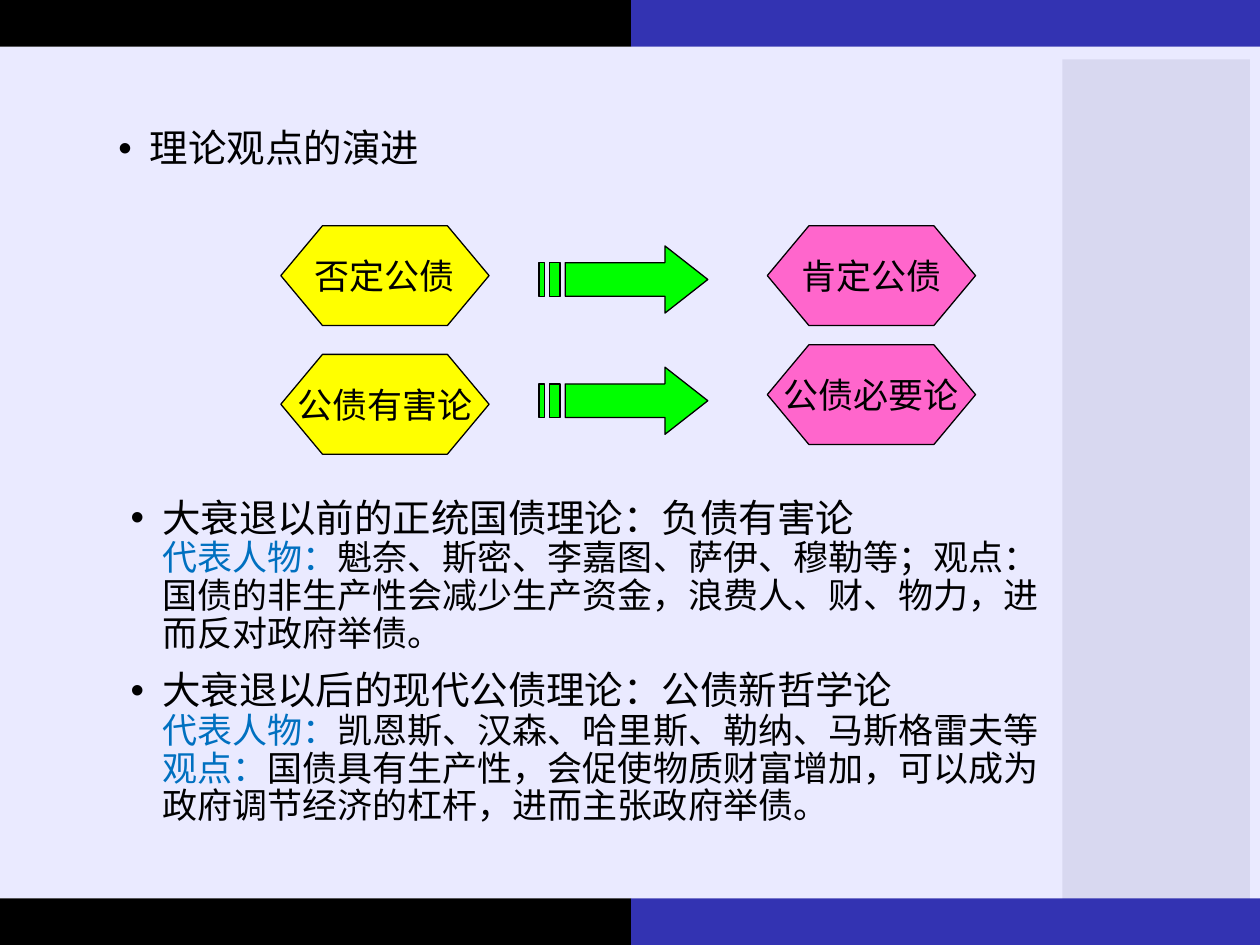
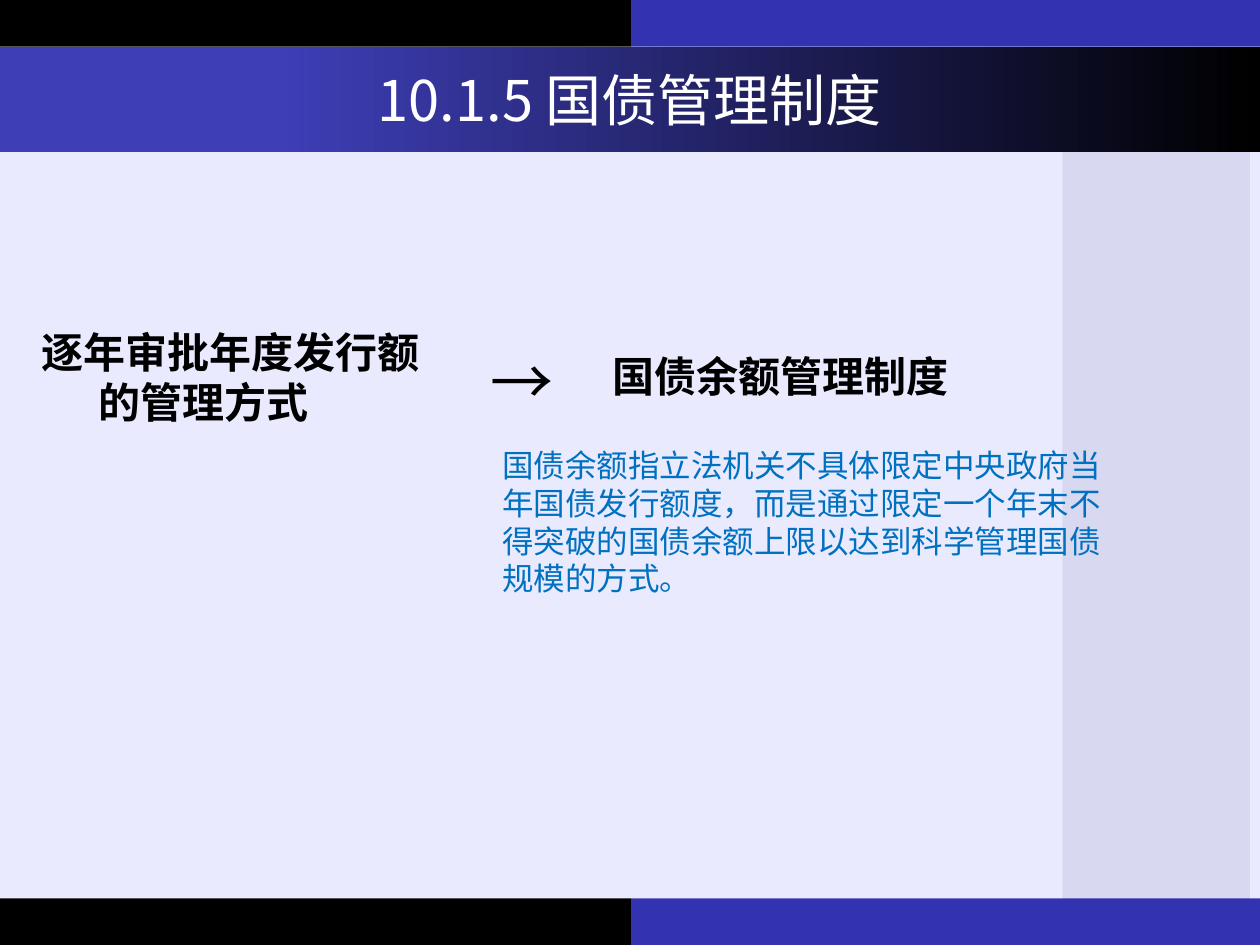
from copy import deepcopy
from lxml import etree
from pptx import Presentation
from pptx import util as u
from pptx.dml import color as colors
from pptx.enum import shapes, text
from pptx.oxml import ns

BLACK, WHITE, INDIGO, BLUE = "000000", "FFFFFF", "3333B2", "0070C0"
PALE, PANEL, TITLE_START = "EAEAFF", "D8D8F0", "3E3EB7"
YELLOW, PINK, GREEN = "FFFF00", "FF66CC", "00FF00"
SANS, SANS_JP, SERIF = "Noto Sans CJK SC", "Noto Sans CJK JP", "Times New Roman"
WIDTH, HEIGHT, BAND_HEIGHT, BAND_SPLIT = 720, 540, 26.64, 360.7


def hex_color(value):
    return colors.RGBColor.from_string(value)


def place(shape, box):
    shape.left, shape.top, shape.width, shape.height = (u.Pt(length) for length in box)


def style_shape(shape, fill, line=None):
    shape.shadow.inherit = False
    shape.fill.solid()
    shape.fill.fore_color.rgb = hex_color(fill)
    if line:
        shape.line.color.rgb = hex_color(line)
        shape.line.width = u.Pt(0.75)
    else:
        shape.line.fill.background()


def style_run(run, size, color=BLACK, font=SANS, bold=False):
    run.font.size = u.Pt(size)
    run.font.bold = bold
    run.font.color.rgb = hex_color(color)
    run.font.name = font
    east_asian = etree.SubElement(run.font._element, ns.qn("a:ea"))
    east_asian.set("typeface", SANS if font == SERIF else font)


def set_indent(paragraph, left, first=0):
    properties = paragraph._p.get_or_add_pPr()
    properties.set("marL", str(u.Pt(left)))
    properties.set("indent", str(u.Pt(first)))


def add_background(slide):
    group = slide.shapes.add_group_shape()
    lower = HEIGHT - BAND_HEIGHT
    right_width = WIDTH - BAND_SPLIT
    parts = [
        (0, BAND_HEIGHT, WIDTH, lower - BAND_HEIGHT, PALE),
        (0, 0, BAND_SPLIT, BAND_HEIGHT, BLACK),
        (BAND_SPLIT, 0, right_width, BAND_HEIGHT, INDIGO),
        (607, 34, 107.3, 485, PANEL),
        (0, lower, BAND_SPLIT, BAND_HEIGHT, BLACK),
        (BAND_SPLIT, lower, right_width, BAND_HEIGHT, INDIGO),
    ]
    for *box, fill in parts:
        rectangle = group.shapes.add_shape(
            shapes.MSO_SHAPE.RECTANGLE, *(u.Pt(length) for length in box))
        style_shape(rectangle, fill)
    slide.shapes.element.insert(2, group.element)


def fill_list(placeholder, box, items):
    place(placeholder, box)
    frame = placeholder.text_frame
    frame.auto_size = text.MSO_AUTO_SIZE.NONE
    frame.vertical_anchor = text.MSO_ANCHOR.TOP
    for index, (heading, details) in enumerate(items):
        paragraph = frame.add_paragraph() if index else frame.paragraphs[0]
        set_indent(paragraph, 18, -18)
        paragraph.line_spacing = 0.9
        paragraph.space_before = u.Pt(10 if index else 0)
        paragraph.text = heading
        style_run(paragraph.runs[0], 22)
        if details:
            paragraph.add_line_break()
            line_break = paragraph._p.find(ns.qn("a:br"))
            line_break.append(deepcopy(paragraph.runs[0].font._element))
        for words, color in details:
            run = paragraph.add_run()
            run.text = words
            style_run(run, 20, color)


def add_hexagon(group, left, top, words, fill):
    hexagon = group.shapes.add_shape(
        shapes.MSO_SHAPE.FLOWCHART_PREPARATION,
        u.Pt(left), u.Pt(top), u.Pt(119), u.Pt(57))
    style_shape(hexagon, fill, BLACK)
    frame = hexagon.text_frame
    frame.text = words
    frame.word_wrap = False
    frame.vertical_anchor = text.MSO_ANCHOR.MIDDLE
    paragraph = frame.paragraphs[0]
    paragraph.alignment = text.PP_ALIGN.CENTER
    style_run(paragraph.runs[0], 20, font=SERIF)


def add_striped_arrow(group, left, top):
    width, height, neck = 96.5, 38.4, 72
    shaft_top, shaft_bottom = height / 4, height * 3 / 4
    head = [(neck, 0), (neck, shaft_top), (15, shaft_top), (15, shaft_bottom),
            (neck, shaft_bottom), (neck, height), (width, height / 2)]
    stripes = [[(start, shaft_top), (start, shaft_bottom),
                (end, shaft_bottom), (end, shaft_top)] for start, end in [(6, 12), (0, 3)]]
    builder = None
    for outline in [head, *stripes]:
        points = [(u.Pt(left + x), u.Pt(top + y)) for x, y in outline]
        if builder is None:
            builder = group.shapes.build_freeform(*points[0])
        else:
            builder.move_to(*points[0])
        builder.add_line_segments(points[1:], close=True)
    style_shape(builder.convert_to_shape(), GREEN, BLACK)


def add_shift_diagram(slide, left, top):
    group = slide.shapes.add_group_shape()
    rows = [
        ("否定公债", 0, "肯定公债", 0, 11.5),
        ("公债有害论", 73.5, "公债必要论", 68, 80.8),
    ]
    for before, before_top, after, after_top, arrow_top in rows:
        add_hexagon(group, left, top + before_top, before, YELLOW)
        add_hexagon(group, left + 278, top + after_top, after, PINK)
        add_striped_arrow(group, left + 147.5, top + arrow_top)


def add_text(slide, box, lines, size, color=BLACK, bold=False):
    text_box = slide.shapes.add_textbox(*(u.Pt(length) for length in box))
    frame = text_box.text_frame
    frame.word_wrap = True
    frame.text = "\n".join(lines)
    for paragraph in frame.paragraphs:
        style_run(paragraph.runs[0], size, color, bold=bold)
    return text_box


def fill_title(title, words):
    place(title, (0, BAND_HEIGHT, WIDTH, 60.5))
    title.fill.gradient()
    title.fill.gradient_angle = 0
    for stop, position, color in zip(
            title.fill.gradient_stops, (0.22, 1), (TITLE_START, BLACK)):
        stop.position = position
        stop.color.rgb = hex_color(color)
    frame = title.text_frame
    frame.text = words
    frame.auto_size = text.MSO_AUTO_SIZE.NONE
    frame.vertical_anchor = text.MSO_ANCHOR.MIDDLE
    frame.paragraphs[0].alignment = text.PP_ALIGN.CENTER
    style_run(frame.paragraphs[0].runs[0], 32, WHITE, SANS_JP)


def build_theory_slide(presentation):
    slide = presentation.slides.add_slide(presentation.slide_layouts[3])
    title, topic, theories = list(slide.placeholders)
    title.element.getparent().remove(title.element)
    add_background(slide)
    fill_list(topic, (60.5, 70.5, 571, 382), [("理论观点的演进", [])])
    fill_list(theories, (67.5, 281.5, 541.5, 178.5), [
        ("大衰退以前的正统国债理论：负债有害论", [
            ("代表人物：", BLUE),
            ("魁奈、斯密、李嘉图、萨伊、穆勒等；观点：国债的非生产性会减少生产资金，"
             "浪费人、财、物力，进而反对政府举债。", BLACK)]),
        ("大衰退以后的现代公债理论：公债新哲学论", [
            ("代表人物：", BLUE),
            ("凯恩斯、汉森、哈里斯、勒纳、马斯格雷夫等", BLACK),
            ("观点：", BLUE),
            ("国债具有生产性，会促使物质财富增加，可以成为政府调节经济的杠杆，"
             "进而主张政府举债。", BLACK)]),
    ])
    add_shift_diagram(slide, 160.5, 129)


def build_management_slide(presentation):
    slide = presentation.slides.add_slide(presentation.slide_layouts[5])
    add_background(slide)
    fill_title(slide.shapes.title, "10.1.5 国债管理制度")
    approval = add_text(slide, (16.5, 183, 310, 65.5),
                        ["逐年审批年度发行额", "的管理方式"], 24, bold=True)
    set_indent(approval.text_frame.paragraphs[1], 33)
    add_text(slide, (342.7, 196.5, 310, 36), ["国债余额管理制度"], 24, bold=True)
    add_text(slide, (273, 192.2, 58.5, 50.5), ["→"], 36)
    add_text(slide, (280, 251.3, 360, 94.5), [
        "国债余额指立法机关不具体限定中央政府当年国债发行额度，而是通过限定"
        "一个年末不得突破的国债余额上限以达到科学管理国债规模的方式。"], 18, BLUE)


def main():
    presentation = Presentation()
    presentation.slide_width, presentation.slide_height = u.Pt(WIDTH), u.Pt(HEIGHT)
    build_theory_slide(presentation)
    build_management_slide(presentation)
    presentation.save("out.pptx")


if __name__ == "__main__":
    main()
